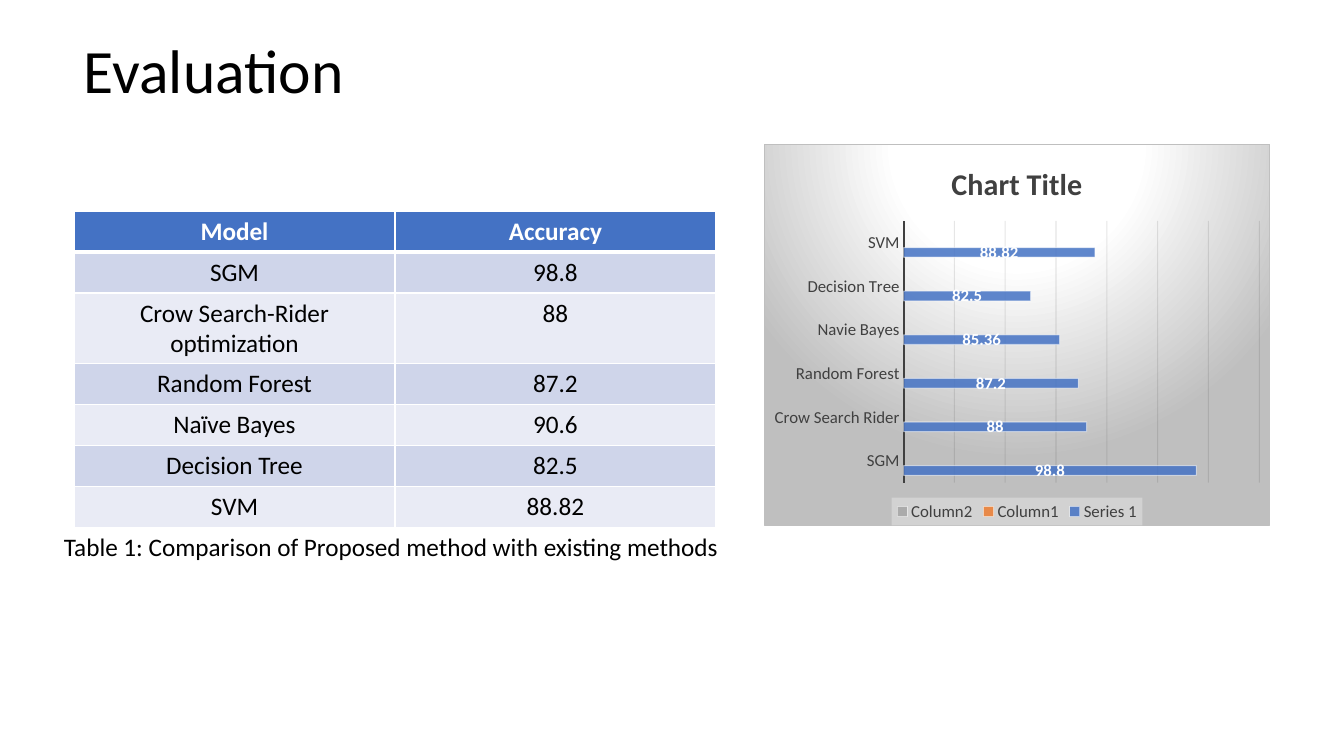
from typing import NamedTuple

import lxml.etree
import pptx
import pptx.chart.data
import pptx.dml.color
import pptx.enum.chart
import pptx.enum.text
import pptx.oxml
import pptx.oxml.ns
import pptx.util

EMU_PER_PX = 914400 / 100.8
FONT = "Calibri"
COLORS = {
    "text": "000000",
    "white": "FFFFFF",
    "header": "4472C4",
    "odd_row": "CFD5EA",
    "even_row": "E9EBF5",
    "chart_text": "404040",
    "chart_edge": "BFBFBF",
    "grid": "0D0D0D",
    "legend": "F2F2F2",
}


class Box(NamedTuple):
    left: int
    top: int
    width: int
    height: int


class Caption(NamedTuple):
    text: str
    box: Box
    size: int
    anchor: pptx.enum.text.MSO_ANCHOR
    line_spacing: float


class BarSeries(NamedTuple):
    name: str
    values: list[float | None]
    color: str


CAPTIONS = [
    Caption("Evaluation", Box(74, 28, 1130, 91), 44, pptx.enum.text.MSO_ANCHOR.MIDDLE, 0.9),
    Caption("Table 1: Comparison of Proposed method with existing methods",
            Box(54, 526, 682, 41), 18, pptx.enum.text.MSO_ANCHOR.TOP, 1.0),
]
TABLE_BOX = Box(74, 211, 642, 287)
ACCURACY_ROWS = [
    ("Model", "Accuracy"),
    ("SGM", "98.8"),
    ("Crow Search-Rider optimization", "88"),
    ("Random Forest", "87.2"),
    ("Naïve Bayes", "90.6"),
    ("Decision Tree", "82.5"),
    ("SVM", "88.82"),
]
CHART_BOX = Box(764, 144, 506, 382)
CHART_MODELS = ["SGM", "Crow Search Rider", "Random Forest", "Navie Bayes", "Decision Tree", "SVM"]
CHART_SERIES = [
    BarSeries("Series 1", [98.8, 88, 87.2, 85.36, 82.5, 88.82], "4472C4"),
    BarSeries("Column1", [None] * 6, "ED7D31"),
    BarSeries("Column2", [None] * 6, "A5A5A5"),
]


def px(length: int) -> int:
    return round(length * EMU_PER_PX)


def place(box: Box) -> list[int]:
    return [px(length) for length in box]


def rgb(color: str) -> pptx.dml.color.RGBColor:
    return pptx.dml.color.RGBColor.from_string(color)


def style_font(font, size: float, color: str, bold: bool = False) -> None:
    font.name = FONT
    font.size = pptx.util.Pt(size)
    font.bold = bold
    font.color.rgb = rgb(color)


def solid(fill, color: str) -> None:
    fill.solid()
    fill.fore_color.rgb = rgb(color)


def style_line(line, color: str, width: float) -> None:
    solid(line.fill, color)
    line.width = pptx.util.Pt(width)


def set_opacity(parent, percent: int) -> None:
    """Make the colours below an XML element partly transparent."""
    for color in parent.iter(pptx.oxml.ns.qn("a:srgbClr")):
        alpha = lxml.etree.SubElement(color, pptx.oxml.ns.qn("a:alpha"))
        alpha.set("val", str(percent * 1000))


def chart_properties(content: str):
    namespaces = pptx.oxml.ns.nsdecls("c", "a")
    return pptx.oxml.parse_xml(f"<c:spPr {namespaces}>{content}</c:spPr>")


def add_caption(slide, caption: Caption) -> None:
    frame = slide.shapes.add_textbox(*place(caption.box)).text_frame
    frame.word_wrap = True
    frame.vertical_anchor = caption.anchor
    frame.text = caption.text
    paragraph = frame.paragraphs[0]
    paragraph.line_spacing = caption.line_spacing
    style_font(paragraph.runs[0].font, caption.size, COLORS["text"])


def set_borders(cell, top: int, bottom: int) -> None:
    """Draw white cell borders; the side borders are 1 pt wide."""
    widths = {"lnL": 1, "lnR": 1, "lnT": top, "lnB": bottom}
    properties = cell._tc.get_or_add_tcPr()
    for index, (side, width) in enumerate(widths.items()):
        properties.insert(index, pptx.oxml.parse_xml(
            f'<a:{side} {pptx.oxml.ns.nsdecls("a")} w="{pptx.util.Pt(width)}"><a:solidFill>'
            f'<a:srgbClr val="{COLORS["white"]}"/></a:solidFill></a:{side}>'))


def add_accuracy_table(slide) -> None:
    table = slide.shapes.add_table(len(ACCURACY_ROWS), 2, *place(TABLE_BOX)).table
    for row, texts in enumerate(ACCURACY_ROWS):
        is_header = row == 0
        row_color = "header" if is_header else "odd_row" if row % 2 else "even_row"
        for column, text in enumerate(texts):
            cell = table.cell(row, column)
            cell.text_frame.text = text
            paragraph = cell.text_frame.paragraphs[0]
            paragraph.alignment = pptx.enum.text.PP_ALIGN.CENTER
            style_font(paragraph.runs[0].font, 18, COLORS["white" if is_header else "text"], is_header)
            solid(cell.fill, COLORS[row_color])
            set_borders(cell, top=3 if row == 1 else 1, bottom=3 if is_header else 1)


def style_axes(chart) -> None:
    models = chart.category_axis
    models.major_tick_mark = pptx.enum.chart.XL_TICK_MARK.NONE
    models.has_major_gridlines = False
    style_font(models.tick_labels.font, 12, COLORS["chart_text"])
    style_line(models.format.line, COLORS["chart_text"], 1.5)

    accuracy = chart.value_axis
    accuracy.minimum_scale, accuracy.maximum_scale, accuracy.major_unit = 70, 105, 5
    accuracy.visible = False
    accuracy.has_major_gridlines = True
    style_line(accuracy.major_gridlines.format.line, COLORS["grid"], 0.75)
    set_opacity(accuracy._element.find(pptx.oxml.ns.qn("c:majorGridlines")), 10)


def style_series(series, color: str) -> None:
    solid(series.format.fill, color)
    style_line(series.format.line, COLORS["white"], 0.75)
    properties = series._element.find(pptx.oxml.ns.qn("c:spPr"))
    set_opacity(properties.find(pptx.oxml.ns.qn("a:solidFill")), 85)
    set_opacity(properties.find(pptx.oxml.ns.qn("a:ln")), 50)
    labels = series.data_labels
    labels.show_value = True
    labels.position = pptx.enum.chart.XL_LABEL_POSITION.CENTER
    style_font(labels.font, 12, COLORS["white"], bold=True)


def style_backgrounds(chart) -> None:
    stops = "".join(
        f'<a:gs pos="{position * 1000}"><a:srgbClr val="{COLORS[name]}"/></a:gs>'
        for position, name in [(0, "white"), (39, "white"), (100, "chart_edge")])
    chart_area = chart_properties(
        f'<a:gradFill><a:gsLst>{stops}</a:gsLst><a:path path="circle">'
        '<a:fillToRect l="50000" t="-80000" r="50000" b="180000"/></a:path></a:gradFill>'
        f'<a:ln w="{pptx.util.Pt(0.75)}"><a:solidFill>'
        f'<a:srgbClr val="{COLORS["chart_edge"]}"/></a:solidFill></a:ln>')
    legend_area = chart_properties(
        f'<a:solidFill><a:srgbClr val="{COLORS["legend"]}"/></a:solidFill><a:ln><a:noFill/></a:ln>')
    set_opacity(legend_area, 39)
    for owner, area in [(chart._chartSpace, chart_area), (chart.legend._element, legend_area)]:
        owner.find(pptx.oxml.ns.qn("c:txPr")).addprevious(area)


def add_accuracy_chart(slide) -> None:
    data = pptx.chart.data.CategoryChartData()
    data.categories = CHART_MODELS
    for entry in CHART_SERIES:
        data.add_series(entry.name, entry.values)
    bar_type = pptx.enum.chart.XL_CHART_TYPE.BAR_CLUSTERED
    chart = slide.shapes.add_chart(bar_type, *place(CHART_BOX), data).chart
    style_font(chart.font, 10, COLORS["text"])
    chart.has_title = True
    chart.chart_title.include_in_layout = False
    heading = chart.chart_title.text_frame
    heading.text = "Chart Title"
    style_font(heading.paragraphs[0].runs[0].font, 21.6, COLORS["chart_text"], bold=True)
    chart.has_legend = True
    chart.legend.position = pptx.enum.chart.XL_LEGEND_POSITION.BOTTOM
    chart.legend.include_in_layout = False
    style_font(chart.legend.font, 12, COLORS["chart_text"])
    chart.plots[0].gap_width = 150
    chart.plots[0].vary_by_categories = False
    style_axes(chart)
    for series, entry in zip(chart.plots[0].series, CHART_SERIES):
        style_series(series, entry.color)
    style_backgrounds(chart)


def main() -> None:
    deck = pptx.Presentation()
    deck.slide_width, deck.slide_height = px(1344), px(756)
    slide = deck.slides.add_slide(deck.slide_layouts[6])
    for caption in CAPTIONS:
        add_caption(slide, caption)
    add_accuracy_table(slide)
    add_accuracy_chart(slide)
    deck.save("out.pptx")


if __name__ == "__main__":
    main()
